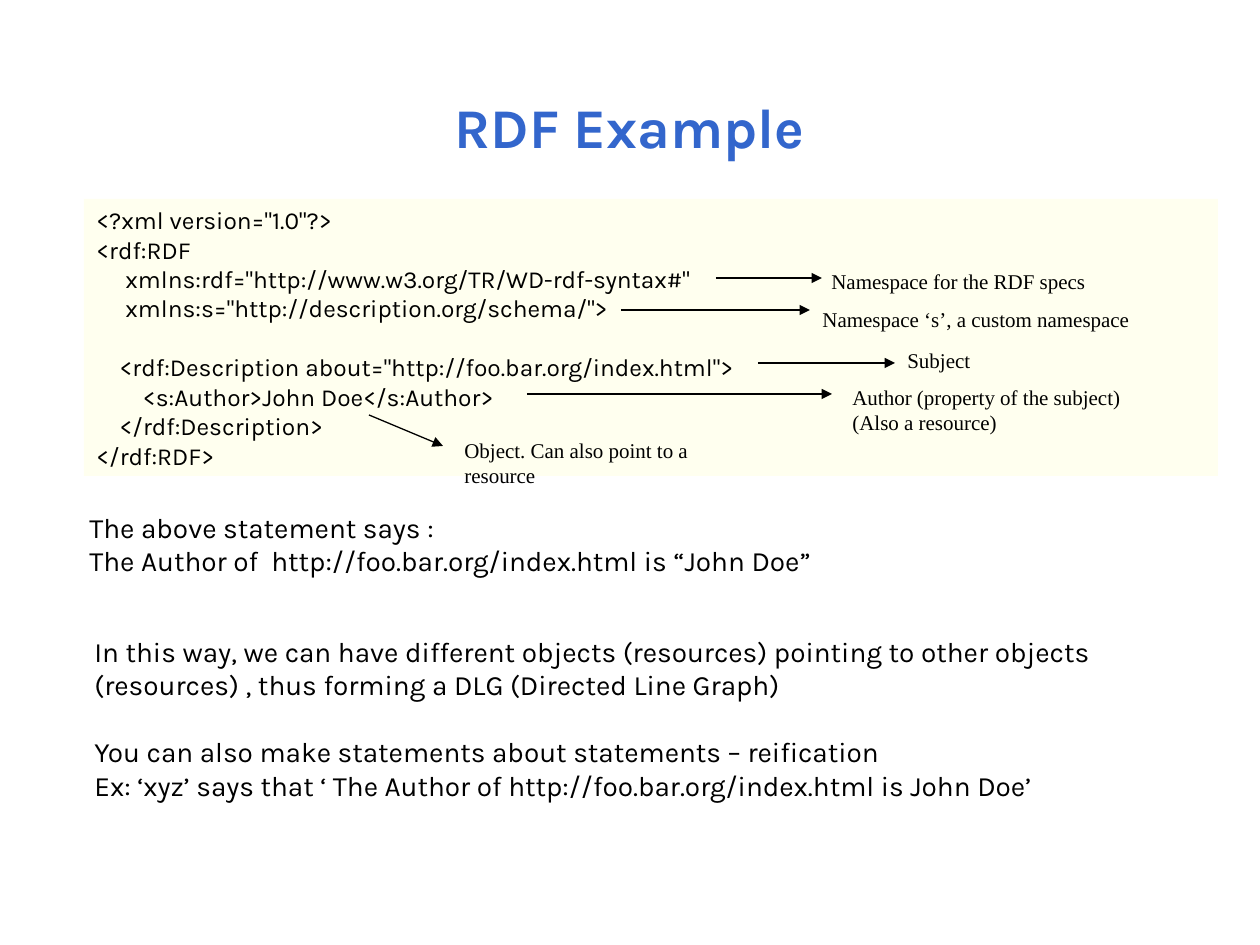
from dataclasses import dataclass

from lxml.etree import SubElement
from pptx import Presentation
from pptx.dml.color import RGBColor
from pptx.enum.shapes import MSO_CONNECTOR, MSO_SHAPE
from pptx.enum.text import MSO_ANCHOR, PP_ALIGN
from pptx.oxml.ns import qn
from pptx.util import Emu, Pt

SCALE = 914400 / 126
SANS, SERIF = "Karla", "Times New Roman"
BLACK, BLUE, CREAM = "000000", "3366CC", "FFFFE1"


@dataclass
class Box:
    x: int
    y: int
    w: int
    h: int


@dataclass
class Style:
    font: str
    size: int
    color: str = BLACK
    bold: bool = False
    align: PP_ALIGN = PP_ALIGN.LEFT
    gap: float = 0  # space before each later group, in points


@dataclass
class Note:
    box: Box
    lines: list[str]
    start: tuple[int, int]
    end: tuple[int, int]


HEAD = Style(SANS, 32, BLUE, True, PP_ALIGN.CENTER)
CODE = Style(SANS, 14, gap=16.8)
BODY = Style(SANS, 16, gap=19)
LABEL = Style(SERIF, 12)

LISTING = [
    [
        '<?xml version="1.0"?>',
        "<rdf:RDF",
        '     xmlns:rdf="http://www.w3.org/TR/WD-rdf-syntax#"',
        '     xmlns:s="http://description.org/schema/">',
    ],
    [
        '    <rdf:Description about="http://foo.bar.org/index.html">',
        "        <s:Author>John Doe</s:Author>",
        "    </rdf:Description>",
        "</rdf:RDF>",
    ],
]
CLAIM = [[
    "The above statement says :",
    "The Author of  http://foo.bar.org/index.html is “John Doe”",
]]
REMARKS = [
    [
        "In this way, we can have different objects (resources) pointing to other objects",
        "(resources) , thus forming a DLG (Directed Line Graph)",
    ],
    [
        "You can also make statements about statements – reification",
        "Ex: ‘xyz’ says that ‘ The Author of http://foo.bar.org/index.html is John Doe’",
    ],
]
NOTES = [
    Note(Box(819, 262, 280, 38), ["Namespace for the RDF specs"], (716, 278), (822, 278)),
    Note(Box(810, 300, 347, 38), ["Namespace ‘s’, a custom namespace"], (621, 310), (810, 310)),
    Note(Box(895, 341, 88, 38), ["Subject"], (758, 363), (895, 363)),
    Note(Box(840, 378, 294, 63), ["Author (property of the subject)", "(Also a resource)"],
         (527, 394), (832, 394)),
    Note(Box(452, 431, 325, 38), ["Object. Can also point to a resource"], (369, 415), (443, 446)),
]


def px(n: int) -> Emu:
    return Emu(round(n * SCALE))


def rgb(code: str) -> RGBColor:
    return RGBColor.from_string(code)


def place(box: Box) -> list[Emu]:
    return [px(n) for n in (box.x, box.y, box.w, box.h)]


def write(frame, groups: list[list[str]], style: Style, wrap: bool = True) -> None:
    frame.word_wrap = wrap
    first = True
    for group in groups:
        for i, line in enumerate(group):
            para = frame.paragraphs[0] if first else frame.add_paragraph()
            para.text = line
            para.alignment = style.align
            if i == 0 and not first:
                para.space_before = Pt(style.gap)
            para.font.name = style.font
            para.font.size = Pt(style.size)
            para.font.bold = style.bold
            para.font.color.rgb = rgb(style.color)
            first = False


def add_text(slide, box: Box, groups: list[list[str]], style: Style, wrap: bool = True):
    frame = slide.shapes.add_textbox(*place(box)).text_frame
    write(frame, groups, style, wrap)
    return frame


def add_panel(slide, box: Box) -> None:
    panel = slide.shapes.add_shape(MSO_SHAPE.RECTANGLE, *place(box))
    panel.shadow.inherit = False
    panel.line.fill.background()
    panel.fill.solid()
    panel.fill.fore_color.rgb = rgb(CREAM)
    tint = panel.fill._xPr.find(".//" + qn("a:srgbClr"))
    SubElement(tint, qn("a:alpha"), val="50000")
    panel.text_frame.vertical_anchor = MSO_ANCHOR.TOP
    write(panel.text_frame, LISTING, CODE)


def add_arrow(slide, start: tuple[int, int], end: tuple[int, int]) -> None:
    ends = [px(n) for n in start + end]
    arrow = slide.shapes.add_connector(MSO_CONNECTOR.STRAIGHT, *ends)
    arrow.line.color.rgb = rgb(BLACK)
    arrow.line.width = Pt(0.75)
    SubElement(arrow.line._get_or_add_ln(), qn("a:tailEnd"), type="triangle")
    SubElement(arrow._element.spPr, qn("a:effectLst"))


def main() -> None:
    deck = Presentation()
    deck.slide_width, deck.slide_height = px(1260), px(945)
    slide = deck.slides.add_slide(deck.slide_layouts[6])

    # Title
    title = add_text(slide, Box(94, 84, 1072, 84), [["RDF Example"]], HEAD)
    title.vertical_anchor = MSO_ANCHOR.MIDDLE

    # Code listing and its notes
    add_panel(slide, Box(84, 199, 1134, 277))
    for note in NOTES:
        add_arrow(slide, note.start, note.end)
        add_text(slide, note.box, [note.lines], LABEL, wrap=False)

    # Explanation
    add_text(slide, Box(77, 504, 776, 81), CLAIM, BODY, wrap=False)
    add_text(slide, Box(82, 628, 1042, 214), REMARKS, BODY)

    deck.save("out.pptx")


if __name__ == "__main__":
    main()
